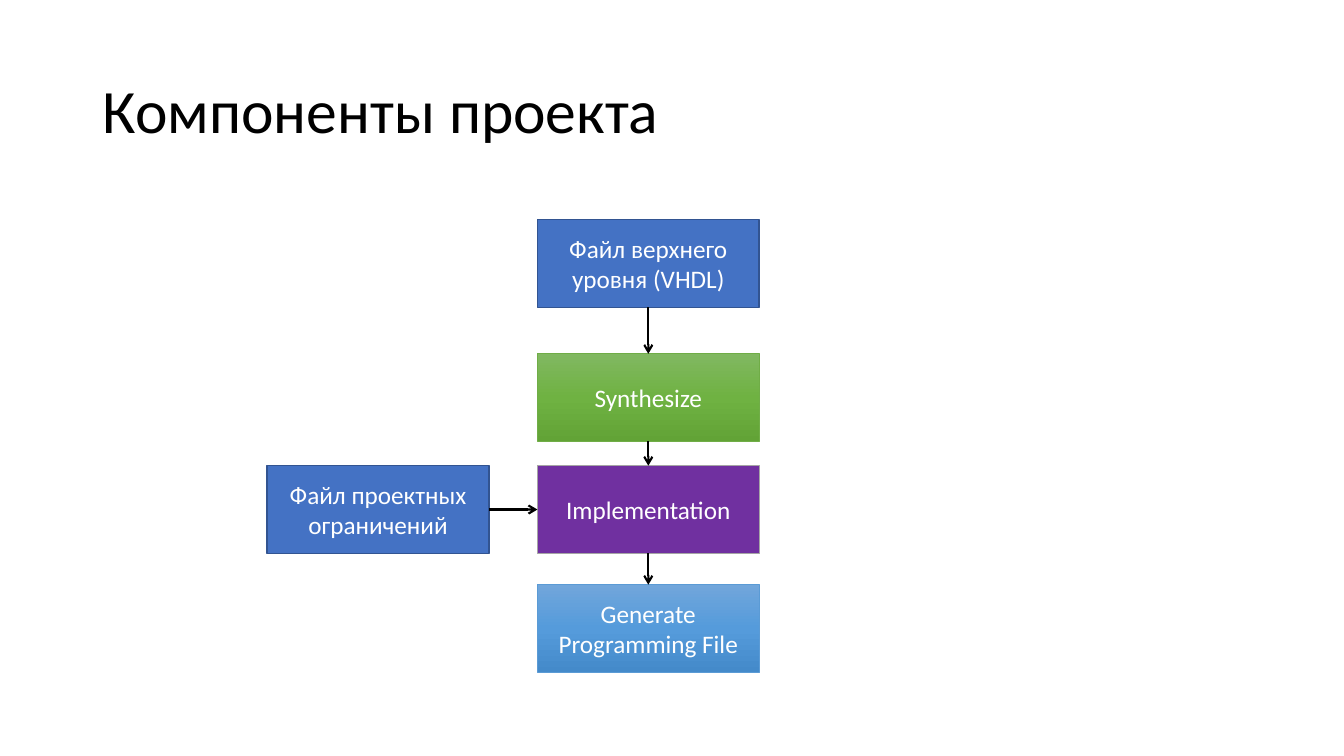
from copy import deepcopy
from dataclasses import dataclass

from lxml.etree import SubElement
from pptx import Presentation
from pptx.dml.color import RGBColor
from pptx.enum.shapes import MSO_CONNECTOR, MSO_SHAPE
from pptx.enum.text import MSO_ANCHOR, PP_ALIGN
from pptx.oxml.ns import qn
from pptx.shapes.autoshape import Shape
from pptx.slide import Slide
from pptx.util import Inches, Pt

FONT = "Calibri"
BLACK = RGBColor(0x00, 0x00, 0x00)
WHITE = RGBColor(0xFF, 0xFF, 0xFF)
BLUE = RGBColor(0x44, 0x72, 0xC4)
BLUE_EDGE = RGBColor(0x32, 0x54, 0x91)
PURPLE = RGBColor(0x70, 0x30, 0xA0)
GRAY_EDGE = RGBColor(0xA5, 0xA5, 0xA5)
GREEN_EDGE = RGBColor(0x70, 0xAD, 0x47)
SKY_EDGE = RGBColor(0x5B, 0x9B, 0xD5)
GREENS = (RGBColor(0x81, 0xB8, 0x61), RGBColor(0x6F, 0xB2, 0x42), RGBColor(0x62, 0xA3, 0x36))
SKIES = (RGBColor(0x71, 0xA6, 0xDB), RGBColor(0x55, 0x9B, 0xDB), RGBColor(0x44, 0x8A, 0xCA))

BOX_WIDTH, BOX_HEIGHT = 2.2, 0.87
FLOW_LEFT, INPUT_LEFT = 5.33, 2.65
TOP, LEFT, BOTTOM, RIGHT = range(4)  # connection sites of a rectangle


@dataclass(frozen=True)
class Step:
    text: str
    left: float
    top: float
    colors: tuple[RGBColor, ...]
    edge: RGBColor
    edge_width: float = 0.5


SOURCE = Step("Файл верхнего уровня (VHDL)", FLOW_LEFT, 2.18, (BLUE,), BLUE_EDGE, 1)
CONSTRAINTS = Step("Файл проектных ограничений", INPUT_LEFT, 4.62, (BLUE,), BLUE_EDGE, 1)
SYNTHESIS = Step("Synthesize", FLOW_LEFT, 3.51, GREENS, GREEN_EDGE)
IMPLEMENTATION = Step("Implementation", FLOW_LEFT, 4.62, (PURPLE,), GRAY_EDGE)
GENERATION = Step("Generate Programming File", FLOW_LEFT, 5.8, SKIES, SKY_EDGE)
STEPS = (SOURCE, CONSTRAINTS, SYNTHESIS, IMPLEMENTATION, GENERATION)

ARROWS = (
    (SOURCE, BOTTOM, SYNTHESIS, TOP),
    (SYNTHESIS, BOTTOM, IMPLEMENTATION, TOP),
    (IMPLEMENTATION, BOTTOM, GENERATION, TOP),
    (CONSTRAINTS, RIGHT, IMPLEMENTATION, LEFT),
)


def write_text(shape: Shape, text: str, size: float, color: RGBColor, align: PP_ALIGN) -> None:
    frame = shape.text_frame
    frame.word_wrap = True
    frame.vertical_anchor = MSO_ANCHOR.MIDDLE
    para = frame.paragraphs[0]
    para.text = text
    para.alignment = align
    para.font.name = FONT
    para.font.size = Pt(size)
    para.font.color.rgb = color


def fill_shape(shape: Shape, colors: tuple[RGBColor, ...]) -> None:
    """Fill with one solid colour, or with three colours from top to bottom."""
    if len(colors) == 1:
        shape.fill.solid()
        shape.fill.fore_color.rgb = colors[0]
        return
    shape.fill.gradient()
    shape.fill.gradient_angle = 270
    stop_list = next(shape.element.iter(qn("a:gsLst")))
    stop_list.insert(1, deepcopy(stop_list[0]))
    for stop, position, color in zip(shape.fill.gradient_stops, (0, 0.5, 1), colors):
        stop.position = position
        stop.color.rgb = color


def add_title(page: Slide, text: str) -> None:
    box = page.shapes.add_textbox(Inches(0.92), Inches(0.4), Inches(11.5), Inches(1.45))
    write_text(box, text, 44, BLACK, PP_ALIGN.LEFT)
    box.text_frame.paragraphs[0].line_spacing = 0.9


def add_step(page: Slide, step: Step) -> Shape:
    box = page.shapes.add_shape(
        MSO_SHAPE.RECTANGLE,
        Inches(step.left), Inches(step.top), Inches(BOX_WIDTH), Inches(BOX_HEIGHT),
    )
    box.shadow.inherit = False
    fill_shape(box, step.colors)
    box.line.color.rgb = step.edge
    box.line.width = Pt(step.edge_width)
    write_text(box, step.text, 18, WHITE, PP_ALIGN.CENTER)
    return box


def add_arrow(page: Slide, start: Shape, start_site: int, end: Shape, end_site: int) -> None:
    arrow = page.shapes.add_connector(MSO_CONNECTOR.STRAIGHT, 0, 0, 0, 0)
    arrow.begin_connect(start, start_site)
    arrow.end_connect(end, end_site)
    arrow.line.color.rgb = BLACK
    arrow.line.width = Pt(1.5)
    SubElement(arrow.line._get_or_add_ln(), qn("a:tailEnd"), type="arrow")
    SubElement(arrow.element.spPr, qn("a:effectLst"))


def main() -> None:
    deck = Presentation()
    deck.slide_width, deck.slide_height = Inches(13.33), Inches(7.5)
    page = deck.slides.add_slide(deck.slide_layouts[6])
    add_title(page, "Компоненты проекта")
    boxes = {step: add_step(page, step) for step in STEPS}
    for start, start_site, end, end_site in ARROWS:
        add_arrow(page, boxes[start], start_site, boxes[end], end_site)
    deck.save("out.pptx")


if __name__ == "__main__":
    main()
